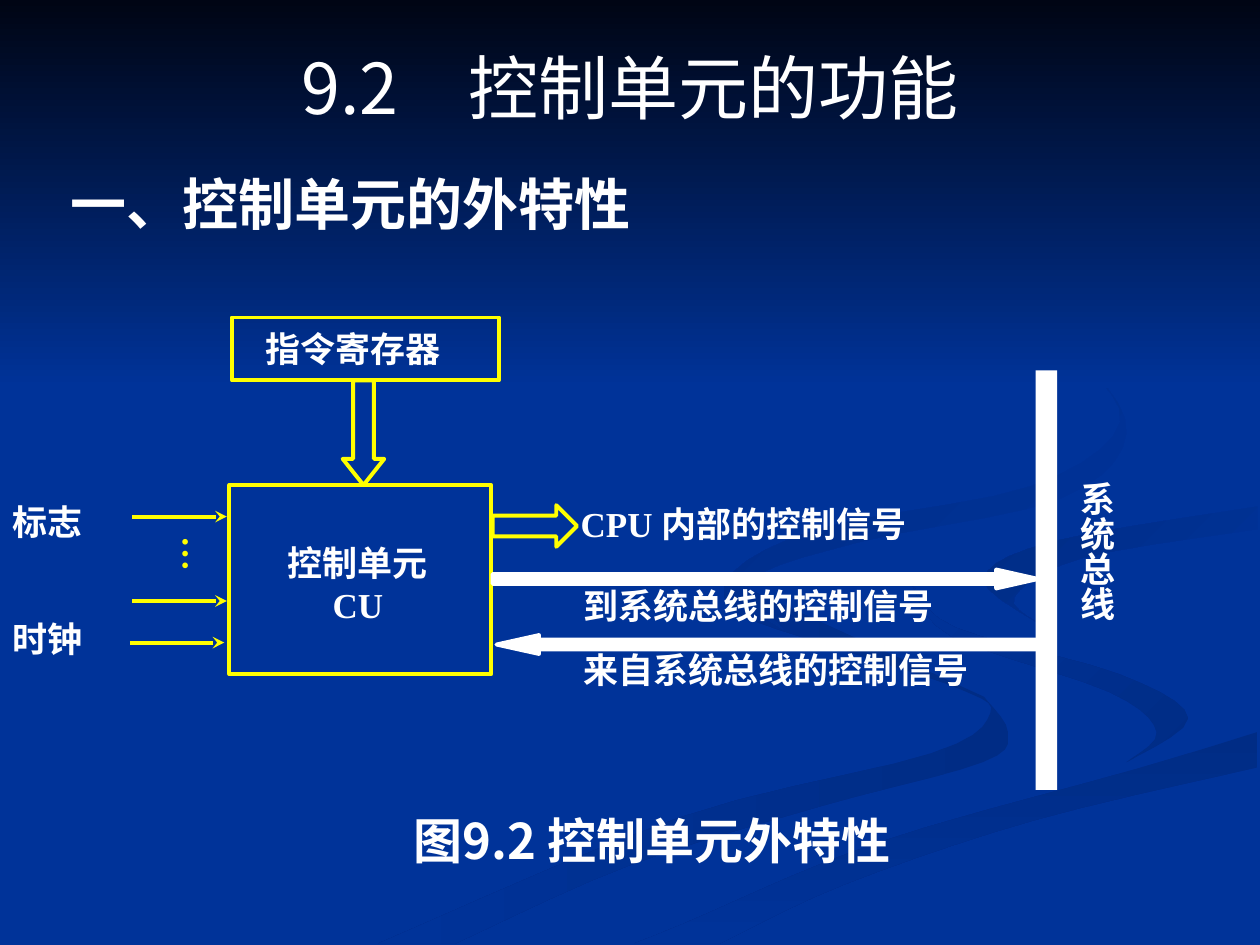
from lxml import etree
from pptx import Presentation
from pptx.dml.color import RGBColor
from pptx.enum.shapes import MSO_CONNECTOR, MSO_SHAPE
from pptx.enum.text import MSO_ANCHOR, PP_ALIGN
from pptx.oxml.ns import qn
from pptx.util import Inches, Pt

LEFT, CENTER = PP_ALIGN.LEFT, PP_ALIGN.CENTER
TOP, MIDDLE = MSO_ANCHOR.TOP, MSO_ANCHOR.MIDDLE
RECT, DOWN, RIGHT = MSO_SHAPE.RECTANGLE, MSO_SHAPE.DOWN_ARROW, MSO_SHAPE.RIGHT_ARROW
STRAIGHT = MSO_CONNECTOR.STRAIGHT

THEME = {
    "blue": "003399", "shade": "002C85", "night": "000514",
    "white": "FFFFFF", "yellow": "FFFF00",
    "serif": "Times New Roman", "sans": "Noto Sans CJK SC",
    "title": 40, "heading": 32, "caption": 28, "label": 20, "line": 2.25,
}

TITLE = ("9.2　控制单元的功能", (0.75, 0.23, 8.5, 0.92))
LABEL = {"size": "label", "font": "serif", "color": "white", "bold": True,
         "align": LEFT, "anchor": TOP, "inset": (0.1, 0.05), "vertical": False}
STACKED = {"vertical": True, "align": CENTER, "inset": (0.05, 0.1)}

TEXTS = [
    (["一、控制单元的外特性"], (0.56, 1.38, 5, 0.47),
     {"size": "heading", "anchor": MIDDLE, "inset": (0, 0)}),
    (["指令寄存器"], (2.01, 2.55, 1.8, 0.44), {}),
    (["控制单元", "CU"], (2.09, 4.25, 1.5, 0.77), {"align": CENTER}),
    (["…"], (1.25, 4.16, 0.53, 0.6), {"color": "yellow", **STACKED}),
    (["时钟"], (0, 4.85, 1.25, 0.44), {}),
    (["标志"], (0, 3.92, 1.25, 0.44), {}),
    (["CPU 内部的控制信号"], (4.51, 3.94, 3.25, 0.44), {}),
    (["到系统总线的控制信号"], (4.53, 4.59, 3.54, 0.44), {}),
    (["来自系统总线的控制信号"], (4.53, 5.1, 3.65, 0.44), {}),
    (["系统总线"], (8.39, 3.72, 0.53, 1.64), STACKED),
    (["图9.2 控制单元外特性"], (2.31, 6.38, 5.73, 0.57),
     {"size": "caption", "font": "sans", "align": CENTER}),
]

BLOCKS = [
    (RECT, (1.84, 2.52, 2.12, 0.5), None, "yellow", (), 0),
    (RECT, (1.82, 3.85, 2.08, 1.5), None, "yellow", (), 0),
    (DOWN, (2.72, 3.02, 0.33, 0.83), None, "yellow", (0.5, 0.63), 0),
    (RIGHT, (3.91, 4.01, 0.67, 0.33), None, "yellow", (0.5, 0.5), 0),
    (RIGHT, (3.91, 4.52, 4.33, 0.15), "white", "white", (0.52, 2.22), 0),
    (RIGHT, (3.94, 5.04, 4.33, 0.15), "white", "white", (0.52, 2.25), 180),
    (RECT, (8.22, 2.94, 0.17, 3.33), "white", None, (), 0),
]

INPUT_LENGTH = 0.75
INPUTS = [(1.03, 5.1), (1.05, 4.1), (1.05, 4.77)]

BAND_HEIGHT = 3.08
CURVE_STEPS = 5
RIBBONS = [
    ("shade", "blue", 180, [
        [(5.75, 4.59), (5.86, 4.87), (6.79, 5.19), (7.62, 5.47), (7.86, 5.66),
         (7.39, 5.98), (5.39, 6.49), (3, 7.49)],
        [(3.61, 7.49), (4.99, 6.87), (6.51, 6.4), (7.8, 6.05), (8, 5.81),
         (7.81, 5.53)]]),
    ("shade", "blue", 225, [
        [(7.24, 4.64), (7.58, 4.98), (8.88, 5.35), (9.43, 5.7), (8.94, 6.05)],
        [(8.94, 6.05), (9.18, 5.81), (8.8, 5.49), (7.55, 5.05), (7.24, 4.64)]]),
    ("shade", "blue", 90, [
        [(5.03, 7.49), (5.43, 7.33), (6.96, 6.69), (9.03, 6.1), (9.98, 5.81)],
        [(9.98, 6.09), (8.21, 6.51), (6.7, 7.02), (5.71, 7.49)]]),
    ("blue", "shade", 225, [
        [(8.26, 4.96), (7.81, 4.6), (8.35, 4.3), (9.98, 4.02)],
        [(9.98, 4.2), (8.59, 4.43), (8.05, 4.74), (8.26, 4.96)]]),
    ("blue", "shade", 225, [
        [(7.62, 2.33), (8.54, 2.83), (8.94, 3.44), (8.41, 3.96), (6.83, 4.3),
         (5.96, 4.61), (6.22, 5)],
        [(6.22, 5), (5.77, 4.62), (6.49, 4.2), (8.18, 3.86), (8.89, 3.35),
         (8.46, 2.79), (7.62, 2.33)]]),
]


def rgb(name):
    return RGBColor.from_string(THEME[name])


def set_attributes(target, values):
    for name, value in values.items():
        setattr(target, name, value)


def place(box):
    return [Inches(length) for length in box]


def smooth(knots):
    padded = [knots[0], *knots, knots[-1]]
    curve = []
    for before, start, end, after in zip(padded, padded[1:], padded[2:], padded[3:]):
        for step in range(CURVE_STEPS):
            t = step / CURVE_STEPS
            curve.append(tuple(
                b + t / 2 * (c - a + t * (2 * a - 5 * b + 4 * c - d
                                          + t * (3 * b - a - 3 * c + d)))
                for a, b, c, d in zip(before, start, end, after)))
    return curve + [knots[-1]]


def paint(shape, fill, line):
    shape.shadow.inherit = False
    if fill:
        shape.fill.solid()
        shape.fill.fore_color.rgb = rgb(fill)
    else:
        shape.fill.background()
    if line:
        shape.line.color.rgb = rgb(line)
        shape.line.width = Pt(THEME["line"])
    else:
        shape.line.fill.background()


def shade(shape, start, end, angle):
    paint(shape, start, None)
    shape.fill.gradient()
    shape.fill.gradient_angle = 360 - angle
    for stop, color in zip(shape.fill.gradient_stops, (start, end)):
        stop.color.rgb = rgb(color)


def write(shape, lines, style):
    frame = shape.text_frame
    across, down = place(style["inset"])
    set_attributes(frame, {
        "text": "\n".join(lines), "word_wrap": True, "vertical_anchor": style["anchor"],
        "margin_left": across, "margin_right": across,
        "margin_top": down, "margin_bottom": down})
    if style["vertical"]:
        frame._txBody.bodyPr.set("vert", "eaVert")
    for paragraph in frame.paragraphs:
        paragraph.alignment = style["align"]
        for run in paragraph.runs:
            set_attributes(run.font, {"size": Pt(THEME[style["size"]]), "bold": style["bold"],
                                      "name": THEME[style["font"]]})
            run.font.color.rgb = rgb(style["color"])
            east_asian = etree.SubElement(run._r.rPr, qn("a:ea"))
            east_asian.set("typeface", THEME["sans"])


def add_ribbon(slide, start, end, angle, sides):
    outline = [tuple(Inches(length) for length in point)
               for side in sides for point in smooth(side)]
    builder = slide.shapes.build_freeform(*outline[0])
    builder.add_line_segments(outline[1:], close=True)
    shade(builder.convert_to_shape(), start, end, angle)


def add_block(slide, preset, box, fill, line, adjustments, rotation):
    block = slide.shapes.add_shape(preset, *place(box))
    block.rotation = rotation
    for index, value in enumerate(adjustments):
        block.adjustments[index] = value
    paint(block, fill, line)


def add_input(slide, x, y):
    arrow = slide.shapes.add_connector(STRAIGHT, *place((x, y, x + INPUT_LENGTH, y)))
    arrow.line.color.rgb = rgb("yellow")
    arrow.line.width = Pt(THEME["line"])
    etree.SubElement(arrow.line._get_or_add_ln(), qn("a:tailEnd")).set("type", "stealth")
    etree.SubElement(arrow._element.spPr, qn("a:effectLst"))


def main():
    deck = Presentation()
    set_attributes(deck, {"slide_width": Inches(10), "slide_height": Inches(7.5)})
    slide = deck.slides.add_slide(deck.slide_layouts[5])
    slide.background.fill.solid()
    slide.background.fill.fore_color.rgb = rgb("blue")

    for ribbon in RIBBONS:
        add_ribbon(slide, *ribbon)
    band = slide.shapes.add_shape(RECT, 0, 0, deck.slide_width, Inches(BAND_HEIGHT))
    shade(band, "night", "blue", 90)
    for block in BLOCKS:
        add_block(slide, *block)
    for x, y in INPUTS:
        add_input(slide, x, y)
    for lines, box, changes in TEXTS:
        write(slide.shapes.add_textbox(*place(box)), lines, {**LABEL, **changes})

    heading, box = TITLE
    title = slide.shapes.title
    set_attributes(title, dict(zip(("left", "top", "width", "height"), place(box))))
    write(title, [heading], {**LABEL, "size": "title", "font": "sans", "bold": False,
                             "align": CENTER, "anchor": MIDDLE})
    slide.shapes._spTree.append(title._element)
    deck.save("out.pptx")


if __name__ == "__main__":
    main()
